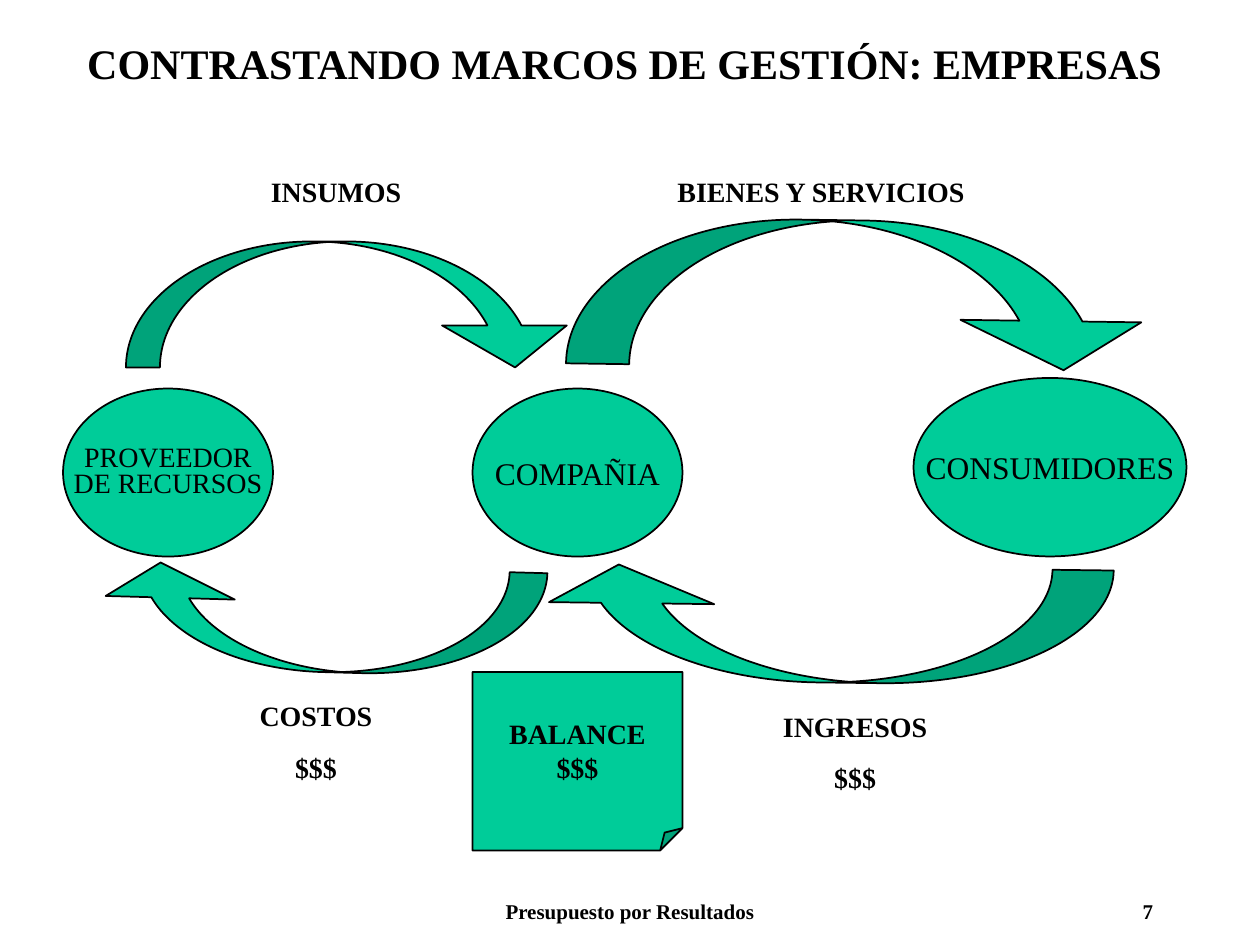
from dataclasses import dataclass

from lxml import etree
from pptx import Presentation
from pptx.dml.color import RGBColor
from pptx.enum.shapes import MSO_SHAPE
from pptx.enum.text import MSO_ANCHOR, MSO_AUTO_SIZE, PP_ALIGN
from pptx.oxml.ns import qn
from pptx.util import Inches, Pt

ELLIPSE = MSO_SHAPE.OVAL
FOLDED_NOTE = MSO_SHAPE.FOLDED_CORNER
CURVED_ARROW = MSO_SHAPE.CURVED_DOWN_ARROW
CENTER, RIGHT = PP_ALIGN.CENTER, PP_ALIGN.RIGHT
TOP, MIDDLE = MSO_ANCHOR.TOP, MSO_ANCHOR.MIDDLE
NO_AUTOFIT = MSO_AUTO_SIZE.NONE

FONT = "Times New Roman"
GREEN, BLACK = "00CC99", "000000"
COLUMNS, ROWS = 120, 90
WIDTH, HEIGHT = Inches(10), Inches(7.5)
HEAD_LENGTH = 1 / 3
FOLD = 0.125


@dataclass(frozen=True)
class Box:
    column: float
    row: float
    columns: float
    rows: float

    def lengths(self) -> tuple[int, int, int, int]:
        return (
            round(WIDTH * self.column / COLUMNS),
            round(HEIGHT * self.row / ROWS),
            round(WIDTH * self.columns / COLUMNS),
            round(HEIGHT * self.rows / ROWS),
        )


@dataclass(frozen=True)
class Node:
    text: str
    box: Box
    preset: int = ELLIPSE
    size: float = 18
    bold: bool = False
    line_spacing: float = 1.0


@dataclass(frozen=True)
class Arrow:
    box: Box
    shaft: float
    head: float
    rotation: float = 0


@dataclass(frozen=True)
class Label:
    text: str
    box: Box


NODES = [
    Node("COMPAÑIA", Box(45, 37, 20, 16)),
    Node("CONSUMIDORES", Box(87, 36, 26, 17)),
    Node("PROVEEDOR\nDE RECURSOS", Box(6, 37, 20, 16), size=16, line_spacing=0.8),
    Node("BALANCE\n$$$", Box(45, 64, 20, 17), FOLDED_NOTE, 16, True),
]

ARROWS = [
    Arrow(Box(54, 21, 56, 14), 0.43, 1.23, 0.8),
    Arrow(Box(51, 54, 55, 11), 0.53, 1.43, 180.7),
    Arrow(Box(12, 23, 43, 12), 0.27, 0.99),
    Arrow(Box(9, 54, 43, 10), 0.36, 1.23, 181.6),
]

LABELS = [
    Label("INSUMOS", Box(24.6, 16, 14.8, 4.4)),
    Label("BIENES Y SERVICIOS", Box(63.2, 16, 30, 4.4)),
    Label("INGRESOS\n$$$", Box(73.4, 67, 16.1, 9.2)),
    Label("COSTOS\n$$$", Box(23, 66, 14.2, 9.2)),
]


def color(value: str) -> RGBColor:
    return RGBColor.from_string(value)


def write(shape, text: str, *, size: float = 16, bold: bool = True,
          align=CENTER, anchor=MIDDLE, wrap: bool = False,
          space_before: float = 0, line_spacing: float = 1.0) -> None:
    frame = shape.text_frame
    frame.auto_size = NO_AUTOFIT
    frame.word_wrap = wrap
    frame.vertical_anchor = anchor
    frame.text = text
    for paragraph in frame.paragraphs:
        paragraph.alignment = align
        paragraph.space_before = Pt(space_before)
        paragraph.line_spacing = line_spacing
        font = paragraph.runs[0].font
        font.name, font.size, font.bold = FONT, Pt(size), bold
        font.color.rgb = color(BLACK)


def add_green_shape(slide, preset: int, box: Box):
    shape = slide.shapes.add_shape(preset, *box.lengths())
    shape.shadow.inherit = False
    shape.fill.solid()
    shape.fill.fore_color.rgb = color(GREEN)
    shape.line.color.rgb = color(BLACK)
    shape.line.width = Pt(1)
    return shape


def set_fold(shape, share: float) -> None:
    guides = next(shape.element.iter(qn("a:avLst")))
    etree.SubElement(guides, qn("a:gd"), name="adj",
                     fmla=f"val {round(share * 100000)}")


def add_node(slide, node: Node) -> None:
    shape = add_green_shape(slide, node.preset, node.box)
    if node.preset == FOLDED_NOTE:
        set_fold(shape, FOLD)
    write(shape, node.text, size=node.size, bold=node.bold,
          line_spacing=node.line_spacing)


def add_arrow(slide, arrow: Arrow) -> None:
    shape = add_green_shape(slide, CURVED_ARROW, arrow.box)
    for index, share in enumerate((arrow.shaft, arrow.head, HEAD_LENGTH)):
        shape.adjustments[index] = share
    shape.rotation = arrow.rotation


def add_text(slide, text: str, box: Box, **text_format) -> None:
    write(slide.shapes.add_textbox(*box.lengths()), text, **text_format)


def set_title(slide, text: str, box: Box) -> None:
    title = slide.shapes.title
    title.left, title.top, title.width, title.height = box.lengths()
    write(title, text, size=24, anchor=TOP, wrap=True)


def main() -> None:
    presentation = Presentation()
    presentation.slide_width, presentation.slide_height = WIDTH, HEIGHT
    slide = presentation.slides.add_slide(presentation.slide_layouts[5])
    set_title(slide, "CONTRASTANDO MARCOS DE GESTIÓN: EMPRESAS", Box(3, 3, 113, 6))
    for arrow in ARROWS:
        add_arrow(slide, arrow)
    for node in NODES:
        add_node(slide, node)
    for label in LABELS:
        add_text(slide, label.text, label.box, space_before=10)
    add_text(slide, "Presupuesto por Resultados", Box(41, 85, 38, 3),
             size=12, anchor=TOP, wrap=True)
    add_text(slide, "7", Box(86, 85, 25, 3),
             size=12, align=RIGHT, anchor=TOP, wrap=True)
    presentation.save("out.pptx")


if __name__ == "__main__":
    main()
